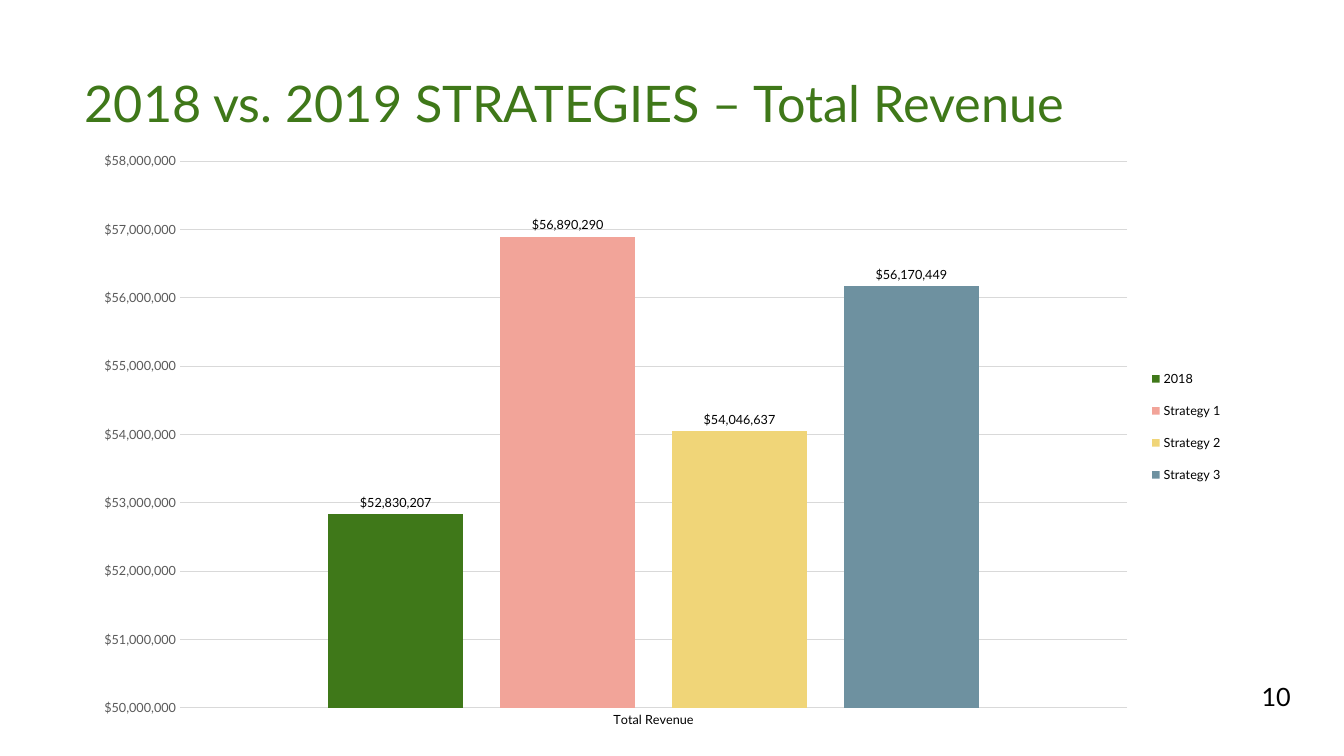
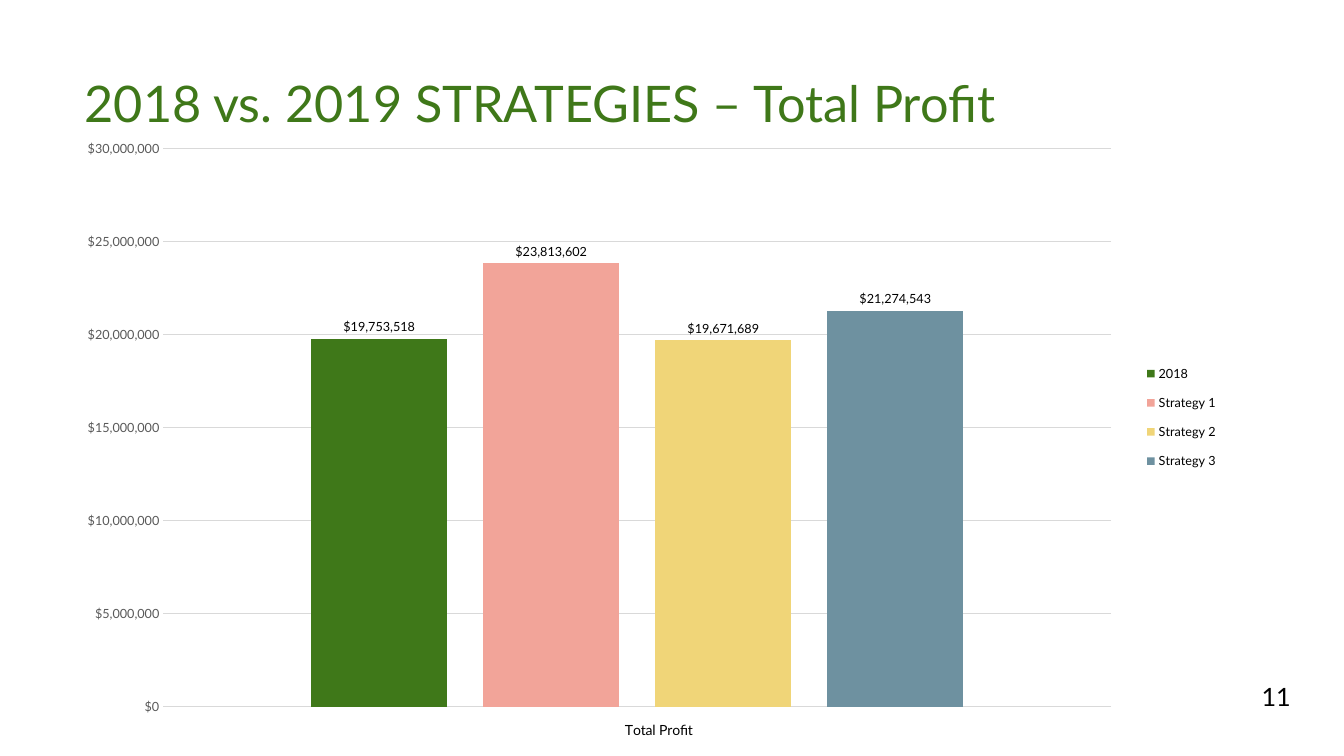
from lxml import etree
from pptx import Presentation
from pptx import util as u
from pptx.chart.data import CategoryChartData
from pptx.dml.color import RGBColor
from pptx.enum import chart as ch
from pptx.enum import text as tx
from pptx.oxml.ns import qn

FONT = "Lato"
GREEN = RGBColor(0x3F, 0x78, 0x19)
CORAL = RGBColor(0xF2, 0xA4, 0x99)
YELLOW = RGBColor(0xF0, 0xD5, 0x78)
SLATE = RGBColor(0x6E, 0x91, 0xA0)
BLACK = RGBColor(0, 0, 0)
GREY = RGBColor(0x59, 0x59, 0x59)
RULE = RGBColor(0xD9, 0xD9, 0xD9)
DOLLARS = '"$"#,##0'
MILLION = 1_000_000

PLANS = [("2018", GREEN), ("Strategy 1", CORAL), ("Strategy 2", YELLOW), ("Strategy 3", SLATE)]
SLIDES = [
    dict(
        measure="Total Revenue", number=10, category="Total Revenue",
        amounts=(52830207, 56890290, 54046637, 56170449),
        scale=(50, 58, 1), frame=(0.74, 1.36, 11.85, 6.3),
        plot=(0.088, 0.038, 0.793, 0.861), legend=(0.893, 0.343, 0.075, 0.227),
        caption=None,
    ),
    dict(
        measure="Total Profit", number=11, category="1",
        amounts=(19753518, 23813602, 19671689, 21274543),
        scale=(0, 30, 5), frame=(0.74, 1.32, 11.71, 6.05),
        plot=(0.075, 0.025, 0.803, 0.916), legend=(0.9, 0.36, 0.075, 0.213),
        caption=(0.464, 0.959),
    ),
]


def style(font, size, color, bold=False):
    font.name, font.size, font.bold = FONT, u.Pt(size), bold
    font.color.rgb = color


def place(shape, left, top, width, height):
    shape.left, shape.top = u.Inches(left), u.Inches(top)
    shape.width, shape.height = u.Inches(width), u.Inches(height)


def set_layout(part, box, after, inner=False):
    for old in part.findall(qn("c:layout")):
        part.remove(old)
    layout = etree.Element(qn("c:layout"))
    manual = etree.SubElement(layout, qn("c:manualLayout"))
    settings = [("layoutTarget", "inner")] if inner else []
    settings += [("xMode", "edge"), ("yMode", "edge")]
    settings += zip("xywh", box)
    for tag, value in settings:
        etree.SubElement(manual, qn("c:" + tag)).set("val", str(value))
    before = part.find(qn("c:" + after)) if after else None
    part.insert(0 if before is None else part.index(before) + 1, layout)


def add_title(slide, measure):
    title = slide.shapes.title
    place(title, 0.74, 0.67, 12, 1.44)
    frame = title.text_frame
    frame.text = f"2018 vs. 2019 STRATEGIES – {measure}"
    frame.auto_size = tx.MSO_AUTO_SIZE.NONE
    frame.vertical_anchor = tx.MSO_ANCHOR.TOP
    heading = frame.paragraphs[0]
    heading.alignment = tx.PP_ALIGN.LEFT
    style(heading.font, 36, GREEN)


def add_page_number(slide, number):
    box = slide.shapes.add_textbox(u.Inches(12.15), u.Inches(6.71), u.Inches(0.75), u.Inches(0.4))
    frame = box.text_frame
    frame.word_wrap = True
    frame.vertical_anchor = tx.MSO_ANCHOR.MIDDLE
    frame.text = str(number)
    frame.paragraphs[0].alignment = tx.PP_ALIGN.RIGHT
    style(frame.paragraphs[0].font, 18, BLACK)


def format_axes(chart, scale, caption, measure):
    amounts = chart.value_axis
    amounts.minimum_scale, amounts.maximum_scale, amounts.major_unit = (n * MILLION for n in scale)
    amounts.major_tick_mark = ch.XL_TICK_MARK.NONE
    amounts.format.line.fill.background()
    amounts.major_gridlines.format.line.color.rgb = RULE
    amounts.major_gridlines.format.line.width = u.Pt(0.75)
    amounts.tick_labels.number_format = DOLLARS
    amounts.tick_labels.number_format_is_linked = False
    style(amounts.tick_labels.font, 9, GREY)

    base = chart.category_axis
    base.major_tick_mark = ch.XL_TICK_MARK.NONE
    base.format.line.color.rgb = RULE
    base.format.line.width = u.Pt(0.75)
    style(base.tick_labels.font, 9, BLACK)
    if caption:
        base.tick_label_position = ch.XL_TICK_LABEL_POSITION.NONE
        frame = base.axis_title.text_frame
        frame.text = measure
        style(frame.paragraphs[0].font, 10, BLACK)
        set_layout(base.axis_title._element, caption, "tx")


def add_strategy_chart(slide, content):
    data = CategoryChartData(number_format=DOLLARS)
    data.categories = [content["category"]]
    for (plan, _), amount in zip(PLANS, content["amounts"]):
        data.add_series(plan, [amount])
    chart = slide.shapes.add_chart(
        ch.XL_CHART_TYPE.COLUMN_CLUSTERED, *map(u.Inches, content["frame"]), data
    ).chart
    chart.has_title = False
    style(chart.font, 10, BLACK)
    format_axes(chart, content["scale"], content["caption"], content["measure"])

    columns = chart.plots[0]
    columns.gap_width, columns.overlap, columns.vary_by_categories = 219, -27, False
    for series, (_, color) in zip(columns.series, PLANS):
        series.format.fill.solid()
        series.format.fill.fore_color.rgb = color
        labels = series.data_labels
        labels.show_value = True
        labels.position = ch.XL_LABEL_POSITION.OUTSIDE_END
        labels.number_format = DOLLARS
        labels.number_format_is_linked = False
        style(labels.font, 9, BLACK)

    chart.has_legend = True
    chart.legend.position = ch.XL_LEGEND_POSITION.RIGHT
    chart.legend.include_in_layout = False
    style(chart.legend.font, 9, BLACK)
    set_layout(chart.legend._element, content["legend"], "legendPos")
    set_layout(chart._chartSpace.chart.plotArea, content["plot"], None, inner=True)


def main():
    deck = Presentation()
    deck.slide_width, deck.slide_height = u.Inches(13.33), u.Inches(7.5)
    title_only = deck.slide_layouts[5]
    for content in SLIDES:
        slide = deck.slides.add_slide(title_only)
        add_title(slide, content["measure"])
        add_strategy_chart(slide, content)
        add_page_number(slide, content["number"])
    deck.save("out.pptx")


if __name__ == "__main__":
    main()
